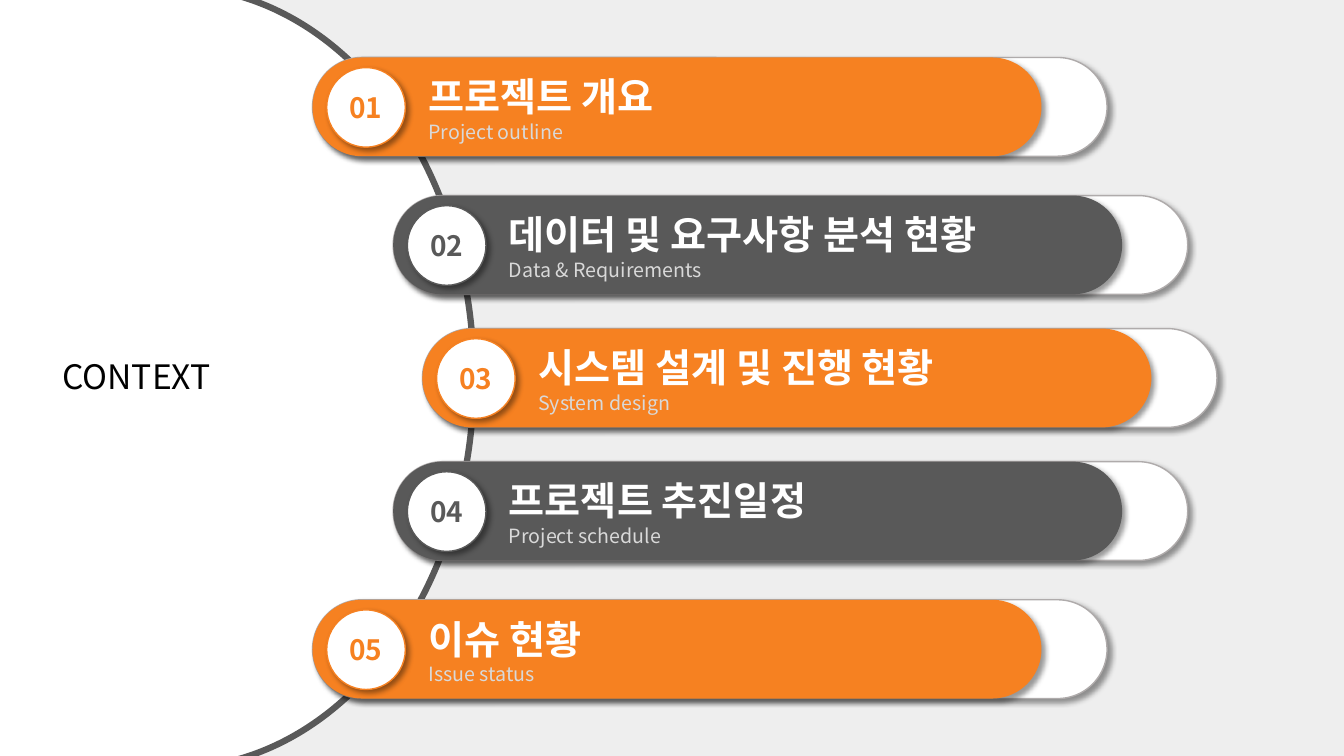
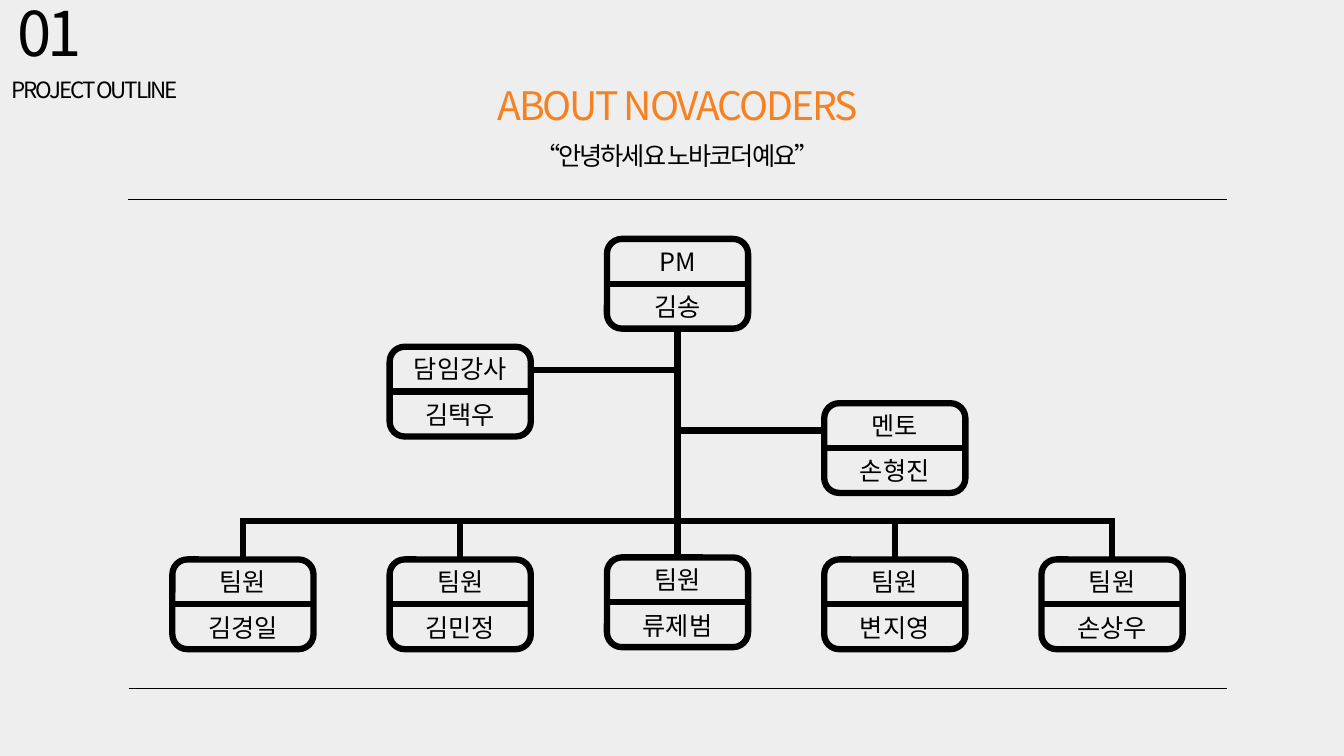
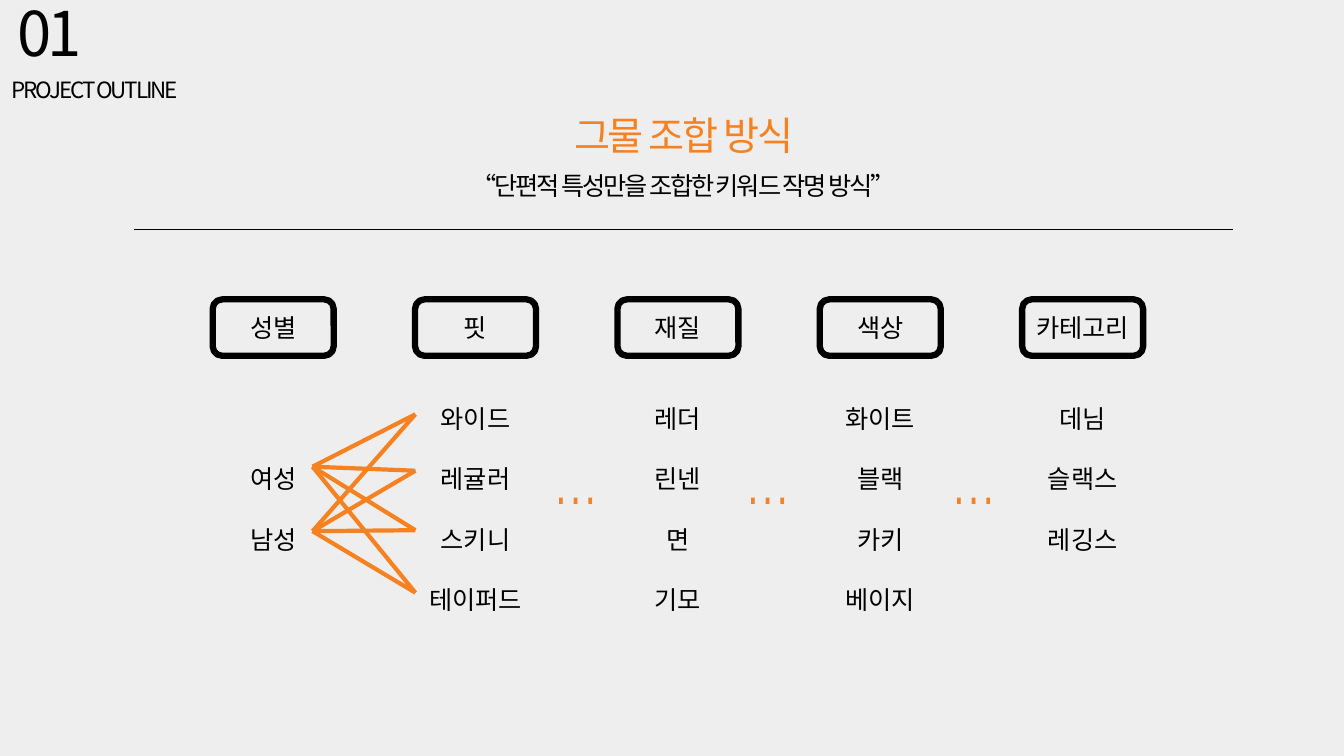
from lxml import etree
from pptx import Presentation
from pptx.dml.color import RGBColor
from pptx.enum.shapes import MSO_CONNECTOR, MSO_SHAPE
from pptx.enum.text import MSO_ANCHOR, MSO_AUTO_SIZE, PP_ALIGN
from pptx.oxml import parse_xml
from pptx.oxml.ns import nsdecls, qn
from pptx.util import Inches, Pt

ORANGE, GRAY, BLACK, WHITE = "F68121", "595959", "000000", "FFFFFF"
PAPER, SILVER, PALE = "EEEEEE", "AFABAB", "D9D9D9"
FONT, DOTS_FONT = "Noto Sans CJK KR", "TeX Gyre Adventor"
SHADOW = (
    f'<a:effectLst {nsdecls("a")}><a:outerShdw blurRad="50800" dist="38100" dir="2700000" '
    'algn="tl" rotWithShape="0"><a:srgbClr val="000000"><a:alpha val="40000"/></a:srgbClr>'
    "</a:outerShdw></a:effectLst>"
)


def add_box(page, at, lines=(), kind=None, fill=None, line=None, weight=4.5, shadow=False,
            align=PP_ALIGN.CENTER, wrap=True, gap=0, leading=None, spacing=0, font=FONT):
    """Add a preset shape, or a text box if kind is None.

    Each line is (text, size, colour, bold); gap is the space between lines and
    spacing the space between letters, both in points.
    """
    place = [Inches(length) for length in at]
    if kind is None:
        box = page.shapes.add_textbox(*place)
    else:
        box = page.shapes.add_shape(kind, *place)
        box.shadow.inherit = False
        box.fill.solid()
        box.fill.fore_color.rgb = RGBColor.from_string(fill)
        if line:
            box.line.color.rgb = RGBColor.from_string(line)
            box.line.width = Pt(weight)
        else:
            box.line.fill.background()
        if shadow:
            properties = box._element.spPr
            properties.replace(properties.find(qn("a:effectLst")), parse_xml(SHADOW))
    frame = box.text_frame
    frame.word_wrap = wrap
    if kind is None:
        frame.auto_size = MSO_AUTO_SIZE.SHAPE_TO_FIT_TEXT
    else:
        frame.vertical_anchor = MSO_ANCHOR.MIDDLE
    for index, (text, size, colour, bold) in enumerate(lines):
        para = frame.add_paragraph() if index else frame.paragraphs[0]
        para.text = text
        para.alignment = align
        if index and gap:
            para.space_before = Pt(gap)
        if leading:
            para.line_spacing = leading
        para.font.name = font
        para.font.size = Pt(size)
        para.font.bold = bold
        para.font.color.rgb = RGBColor.from_string(colour)
        defaults = para._p.pPr.find(qn("a:defRPr"))
        etree.SubElement(defaults, qn("a:ea")).set("typeface", font)
        if spacing:
            defaults.set("spc", str(int(spacing * 100)))
    return box


def add_line(page, start, end, colour=BLACK, weight=4.5):
    points = [Inches(length) for length in (*start, *end)]
    connector = page.shapes.add_connector(MSO_CONNECTOR.STRAIGHT, *points)
    connector.line.color.rgb = RGBColor.from_string(colour)
    connector.line.width = Pt(weight)
    etree.SubElement(connector._element.spPr, qn("a:effectLst"))
    return connector


deck = Presentation()
deck.slide_width, deck.slide_height = Inches(13.33), Inches(7.5)
background = deck.slide_master.background.fill
background.solid()
background.fore_color.rgb = RGBColor.from_string(PAPER)
contents, team, keywords = [deck.slides.add_slide(deck.slide_layouts[6]) for _ in range(3)]

# Section mark, heading and rule of the two project pages
headings = [
    (team, 6.72, 0.76, "ABOUT NOVACODERS", "“안녕하세요 노바코더예요”"),
    (keywords, 6.78, 1.06, "그물 조합 방식", "“단편적 특성만을 조합한 키워드 작명 방식”"),
]
for page, center, top, title, subtitle in headings:
    add_box(page, (0.08, -0.1, 1.48, 0.94), [("01", 44, BLACK, False)],
            align=PP_ALIGN.LEFT, spacing=-3)
    add_box(page, (0.02, 0.71, 1.97, 0.4), [("PROJECT OUTLINE", 16, BLACK, False)],
            align=PP_ALIGN.LEFT, spacing=-1.5)
    add_box(page, (center - 2.2, top, 4.4, 0.57), [(title, 28, ORANGE, False)], spacing=-1.5)
    add_box(page, (center - 2.46, top + 0.58, 4.92, 0.4), [(subtitle, 18, BLACK, False)],
            spacing=-1.5)
    add_line(page, (center - 5.45, top + 1.22), (center + 5.45, top + 1.22), weight=0.5)

# Contents
add_box(contents, (-1.23, -0.13, 5.93, 7.75), kind=MSO_SHAPE.FLOWCHART_DELAY,
        fill=WHITE, line=GRAY)
chapters = [
    (3.1, 0.57, "프로젝트 개요", "Project outline"),
    (3.9, 1.94, "데이터 및 요구사항 분석 현황", "Data & Requirements"),
    (4.19, 3.26, "시스템 설계 및 진행 현황", "System design"),
    (3.9, 4.58, "프로젝트 추진일정", "Project schedule"),
    (3.1, 5.95, "이슈 현황", "Issue status"),
]
for number, (left, top, title, subtitle) in enumerate(chapters, 1):
    colour = ORANGE if number % 2 else GRAY
    for width, fill, line in ((7.88, WHITE, SILVER), (7.23, colour, None)):
        bar = add_box(contents, (left, top, width, 0.98), kind=MSO_SHAPE.ROUNDED_RECTANGLE,
                      fill=fill, line=line, weight=1, shadow=True)
        bar.adjustments[0] = 0.5
    add_box(contents, (left + 0.14, top + 0.1, 0.78, 0.79), [(f"{number:02}", 20, colour, True)],
            kind=MSO_SHAPE.OVAL, fill=WHITE, line=colour, weight=1, shadow=True)
    add_box(contents, (left + 1.05, top + 0.1, 5.6, 0.81),
            [(title, 28, WHITE, True), (subtitle, 14, PALE, False)], align=PP_ALIGN.LEFT)
add_box(contents, (0.52, 3.48, 1.82, 0.5), [("CONTEXT", 24, BLACK, False)],
        align=PP_ALIGN.LEFT, wrap=False)

# Team chart
add_line(team, (1.28, 6.83), (12.17, 6.83), weight=0.5)
CARD_WIDTH, CARD_HEIGHT = 1.4, 0.89
columns = [1.71 + 2.155 * index for index in range(5)]
centers = [left + CARD_WIDTH / 2 for left in columns]
people = [
    (2, 2.37, "PM", "김송"),
    (1, 3.44, "담임강사", "김택우"),
    (3, 4, "멘토", "손형진"),
    (0, 5.55, "팀원", "김경일"),
    (1, 5.55, "팀원", "김민정"),
    (2, 5.53, "팀원", "류제범"),
    (3, 5.55, "팀원", "변지영"),
    (4, 5.55, "팀원", "손상우"),
]
cards = []
for column, top, role, name in people:
    left, middle = columns[column], top + CARD_HEIGHT / 2
    card = add_box(team, (left, top, CARD_WIDTH, CARD_HEIGHT),
                   [(role, 18, BLACK, False), (name, 18, BLACK, False)],
                   kind=MSO_SHAPE.ROUNDED_RECTANGLE, fill=PAPER, line=BLACK, gap=11)
    divider = add_line(team, (left, middle), (left + CARD_WIDTH, middle))
    divider.begin_connect(card, 1)
    divider.end_connect(card, 3)
    cards.append(card)
manager, members = cards[0], cards[3:]
trunk = add_line(team, (centers[2], 3.26), (centers[2], 5.53))
trunk.begin_connect(manager, 2)
trunk.end_connect(members[2], 0)
add_line(team, (columns[1] + CARD_WIDTH, 3.67), (centers[2], 3.67))
add_line(team, (centers[2], 4.27), (columns[3], 4.27))
BRANCH = 5.17
add_line(team, (centers[0] - 0.03, BRANCH), (centers[4] + 0.03, BRANCH))
for column in (0, 1, 3, 4):
    branch = add_line(team, (centers[column], BRANCH), (centers[column], 5.55))
    branch.end_connect(members[column], 0)

# Keyword columns
groups = [
    ("성별", 4.25, ["여성", "남성"]),
    ("핏", 3.65, ["와이드", "레귤러", "스키니", "테이퍼드"]),
    ("재질", 3.65, ["레더", "린넨", "면", "기모"]),
    ("색상", 3.65, ["화이트", "블랙", "카키", "베이지"]),
    ("카테고리", 3.65, ["데님", "슬랙스", "레깅스"]),
]
for index, (group, top, words) in enumerate(groups):
    left = 2.11 + 2.007 * index
    header = add_box(keywords, (left, 2.97, 1.2, 0.56), [(group, 18, BLACK, False)],
                     kind=MSO_SHAPE.ROUNDED_RECTANGLE, fill=PAPER, line=BLACK)
    header.text_frame.margin_left = header.text_frame.margin_right = Inches(0.08)
    add_box(keywords, (left, top, 1.2, 0.12 + 0.6 * len(words)),
            [(word, 18, BLACK, False) for word in words], leading=2)
for start in (4.63, 5.27):
    for end in (4.11, 4.67, 5.26, 5.88):
        add_line(keywords, (3.1, start), (4.12, end), ORANGE, 3)
for left in (5.41, 7.32, 9.36):
    add_box(keywords, (left, 4.46, 0.84, 0.71), [("…", 36, ORANGE, False)],
            align=PP_ALIGN.LEFT, wrap=False, font=DOTS_FONT)

deck.save("out.pptx")
